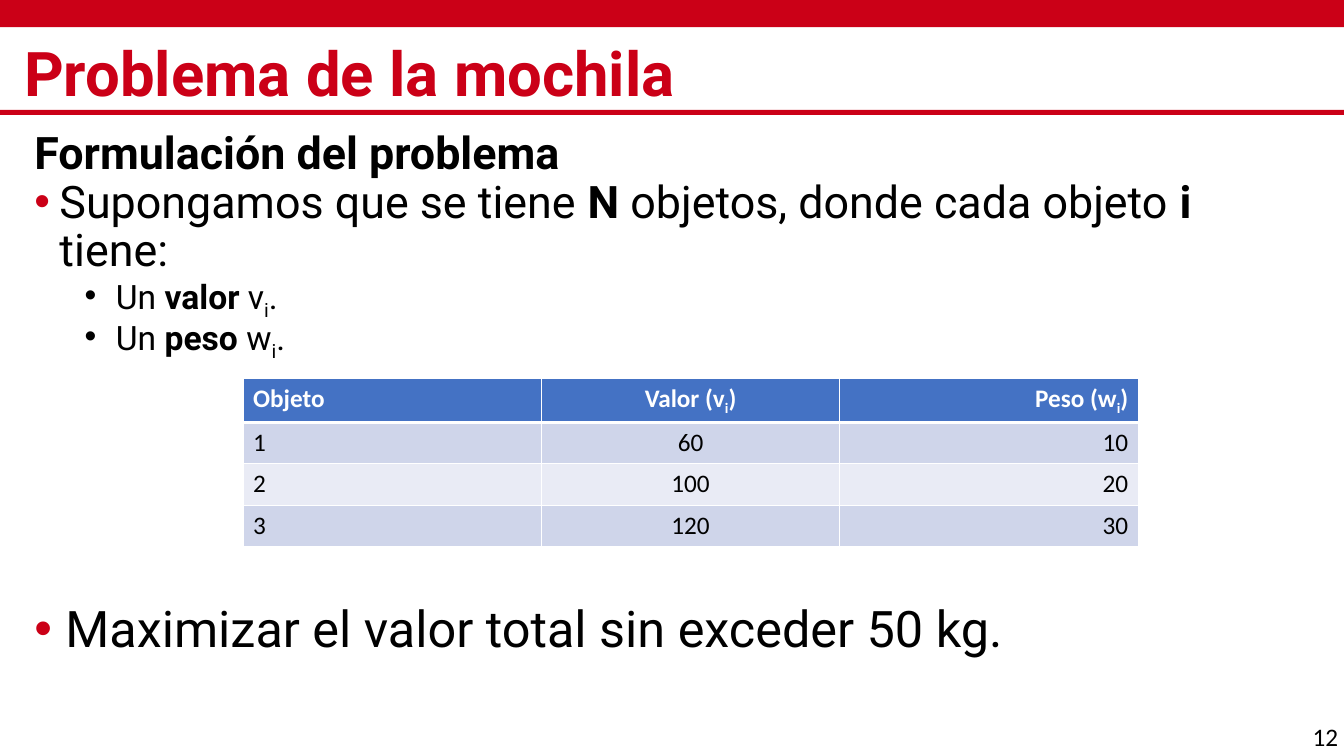
from lxml import etree
from pptx import Presentation
from pptx.dml.color import RGBColor
from pptx.enum.shapes import MSO_SHAPE as Shape
from pptx.enum.text import MSO_ANCHOR as Anchor, PP_ALIGN as Align
from pptx.oxml.ns import qn
from pptx.util import Inches, Pt

COLORS = {
    "red": "CB0017", "black": "000000", "white": "FFFFFF",
    "header": "4472C4", "dark band": "CFD5EA", "light band": "E9EBF5",
}


class SlideBuilder:
    heading_font = "Roboto"
    table_font = "Calibri"

    def __init__(self, page):
        self.page = page

    def color(self, name):
        return RGBColor.from_string(COLORS[name])

    def bar(self, left, top, width, height):
        shape = self.page.shapes.add_shape(
            Shape.RECTANGLE, Inches(left), Inches(top), Inches(width), Inches(height))
        shape.shadow.inherit = False
        shape.fill.solid()
        shape.fill.fore_color.rgb = self.color("red")
        shape.line.fill.background()

    def box(self, left, top, width, height, margin=0.0, anchor=Anchor.TOP):
        frame = self.page.shapes.add_textbox(
            Inches(left), Inches(top), Inches(width), Inches(height)).text_frame
        frame.word_wrap = True
        frame.vertical_anchor = anchor
        frame.margin_left = frame.margin_right = Inches(margin)
        frame.margin_top = frame.margin_bottom = Inches(margin / 2)
        return frame

    def spans(self, para, parts, size, font, color="black", bold=False):
        """Each part is a text or a (text, style) pair; style is "bold" or "sub"."""
        for part in parts:
            text, style = (part, "") if isinstance(part, str) else part
            span = para.add_run()
            span.text = text
            span.font.size = Pt(size)
            span.font.name = font
            span.font.bold = bold or style == "bold"
            span.font.color.rgb = self.color(color)
            if style == "sub":
                span.font._element.set("baseline", "-25000")

    def bullet(self, para, left, hanging, color, level=0):
        para.level = level
        props = para._p.get_or_add_pPr()
        props.set("marL", str(Inches(left)))
        props.set("indent", str(-Inches(hanging)))
        tint = etree.SubElement(props, qn("a:buClr"))
        etree.SubElement(tint, qn("a:srgbClr"), val=COLORS[color])
        etree.SubElement(props, qn("a:buFont"), typeface="Arial")
        etree.SubElement(props, qn("a:buChar"), char="•")

    def borders(self, cell, top, bottom):
        props = cell._tc.get_or_add_tcPr()
        widths = {"lnL": 1, "lnR": 1, "lnT": top, "lnB": bottom}
        for position, (side, width) in enumerate(widths.items()):
            line = etree.Element(qn(f"a:{side}"), w=str(Pt(width)))
            fill = etree.SubElement(line, qn("a:solidFill"))
            etree.SubElement(fill, qn("a:srgbClr"), val=COLORS["white"])
            props.insert(position, line)

    def table(self, left, top, column_width, row_height, rows):
        columns = len(rows[0])
        table = self.page.shapes.add_table(
            len(rows), columns, Inches(left), Inches(top),
            Inches(column_width * columns), Inches(row_height * len(rows))).table
        for column in table.columns:
            column.width = Inches(column_width)
        aligns = (Align.LEFT, Align.CENTER, Align.RIGHT)
        for r, row in enumerate(rows):
            is_header = r == 0
            band = "header" if is_header else "dark band" if r % 2 else "light band"
            for c, parts in enumerate(row):
                cell = table.cell(r, c)
                cell.fill.solid()
                cell.fill.fore_color.rgb = self.color(band)
                self.borders(cell, 3 if r == 1 else 1, 3 if is_header else 1)
                para = cell.text_frame.paragraphs[0]
                para.alignment = aligns[c]
                self.spans(para, parts, 18, self.table_font,
                           "white" if is_header else "black", is_header)


def main():
    deck = Presentation()
    deck.slide_width, deck.slide_height = Inches(13.33), Inches(7.5)
    page = deck.slides.add_slide(deck.slide_layouts[6])
    build = SlideBuilder(page)

    # Red bars around the title
    build.bar(0, -0.01, 13.33, 0.28)
    build.bar(0, 1.09, 13.33, 0.05)

    # Title
    title = build.box(0.24, 0.39, 12.85, 0.73, anchor=Anchor.MIDDLE).paragraphs[0]
    title.line_spacing = 0.9
    build.spans(title, ["Problema de la mochila"], 44, build.heading_font, "red", True)

    # Body: parts, size, space before, bullet (left, hanging, color, level)
    item = (0.81, 0.31, "black", 1)
    content = [
        ([("Formulación del problema", "bold")], 32, 0, None),
        (["Supongamos que se tiene ", ("N", "bold"), " objetos, donde cada objeto ",
          ("i", "bold"), " tiene:"], 32, 0, (0.25, 0.25, "red")),
        (["Un ", ("valor", "bold"), " v", ("i", "sub"), "."], 24, 0, item),
        (["Un ", ("peso ", "bold"), "w", ("i", "sub"), "."], 24, 0, item),
        (["Maximizar el valor total sin exceder 50 kg."], 36, 175, (0.31, 0.31, "red")),
    ]
    body = build.box(0.34, 1.3, 12.57, 5.45)
    for number, (parts, size, before, bullet) in enumerate(content):
        para = body.add_paragraph() if number else body.paragraphs[0]
        para.line_spacing = 0.9
        para.space_before = Pt(before)
        if bullet:
            build.bullet(para, *bullet)
        build.spans(para, parts, size, build.heading_font)

    # Page number
    number = build.box(12.92, 7.11, 0.57, 0.4, margin=0.1).paragraphs[0]
    build.spans(number, ["12"], 18, build.table_font)

    # Objects with their values and weights
    header = [["Objeto"], ["Valor (v", ("i", "sub"), ")"], ["Peso (w", ("i", "sub"), ")"]]
    objects = [(1, 60, 10), (2, 100, 20), (3, 120, 30)]
    rows = [header] + [[[str(value)] for value in entry] for entry in objects]
    build.table(2.41, 3.75, 2.96, 0.41, rows)

    deck.save("out.pptx")


if __name__ == "__main__":
    main()
